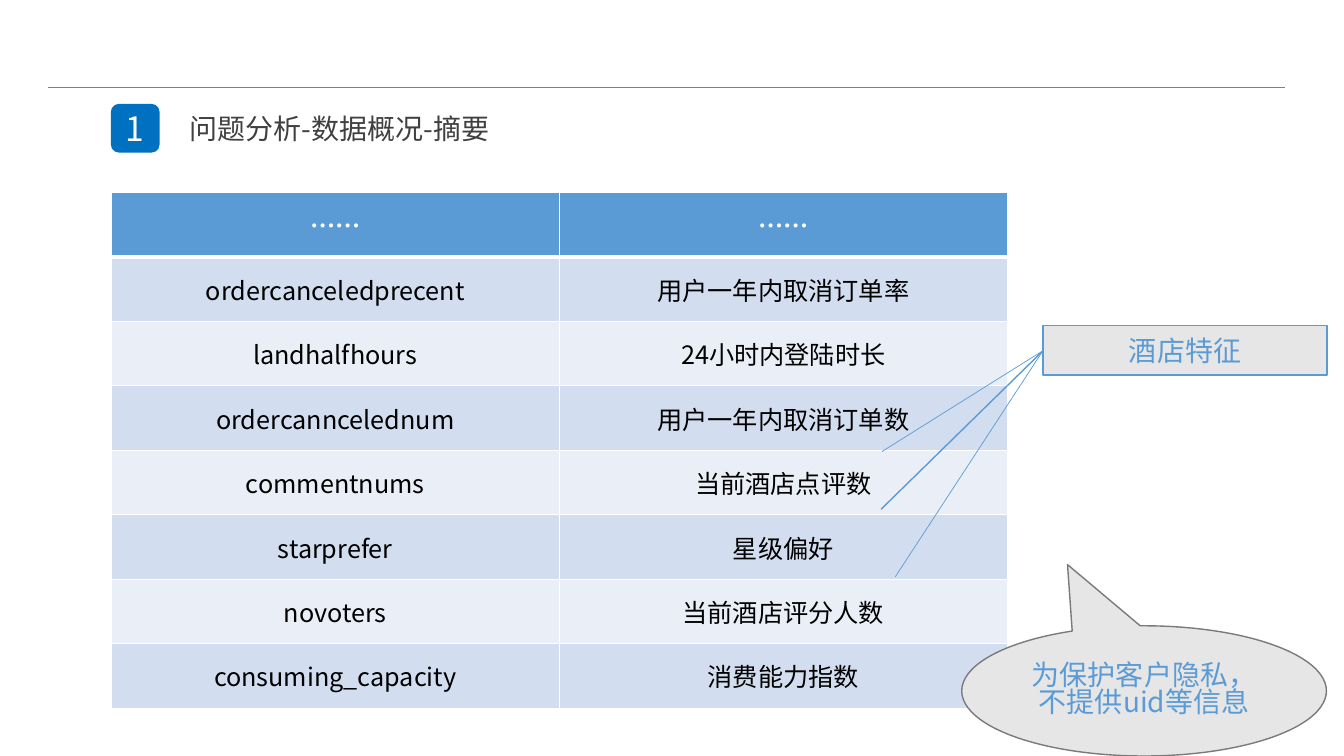
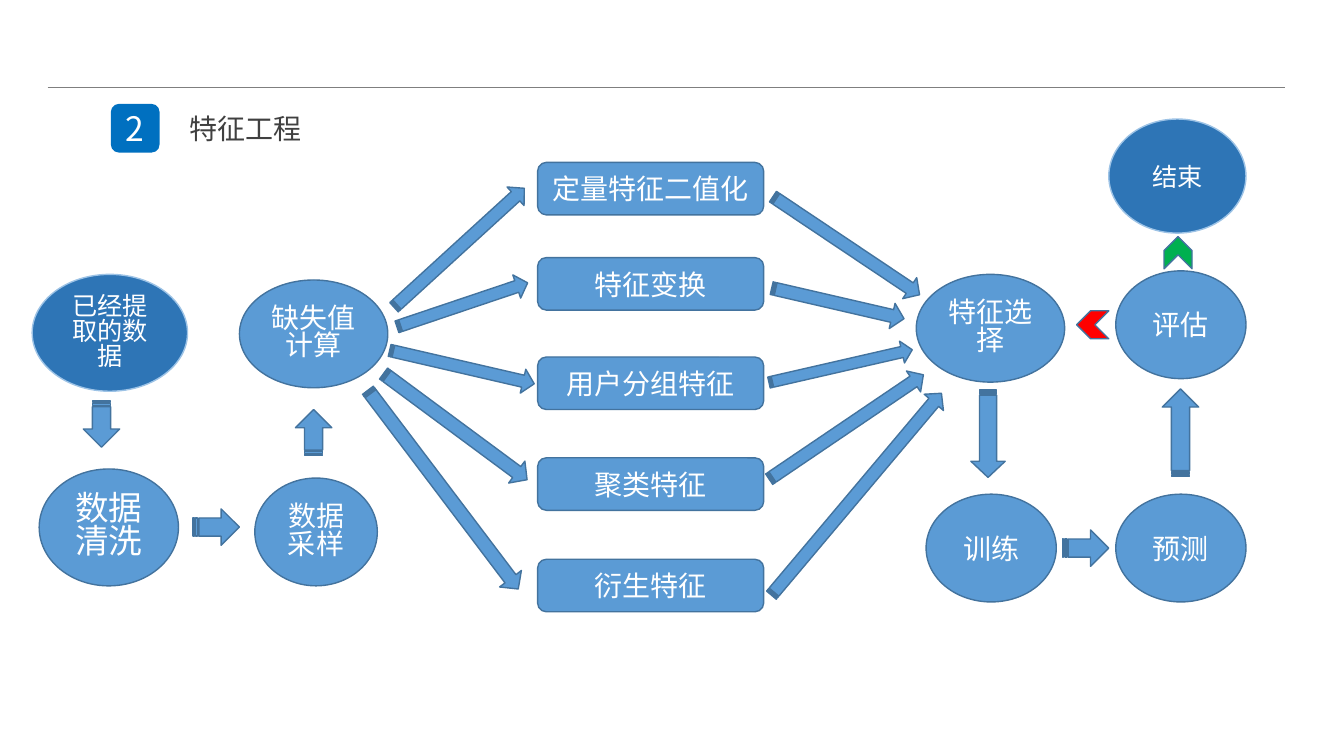
from dataclasses import dataclass
from typing import Any, Optional

from lxml import etree
from pptx import Presentation
from pptx import util as u
from pptx.dml import color
from pptx.enum import shapes, text
from pptx.oxml import ns

COLORS = {
    "white": "FFFFFF", "black": "000000", "title": "404040", "rule": "7F7F7F",
    "badge": "0070C0", "blue": "5B9BD5", "edge": "43739E",
    "deep": "2E75B6", "pale_edge": "9DC3E6", "gray": "E7E6E6", "gray_edge": "7A7A7A",
    "band_dark": "D2DEEF", "band_light": "EAEFF7", "red": "FF0000", "green": "00B050",
}
FONT = "Noto Sans CJK SC"
KIND = shapes.MSO_SHAPE
CENTER = text.PP_ALIGN.CENTER
MIDDLE = text.MSO_ANCHOR.MIDDLE
WRAPPED_SPACING = 0.82


@dataclass(frozen=True)
class Part:
    """One preset shape, with lengths in points."""
    kind: Any
    left: float
    top: float
    width: float
    height: float
    label: str = ""
    size: float = 20
    fill: str = "blue"
    line: Optional[str] = "edge"
    ink: str = "white"
    rotation: float = 0
    spacing: Optional[float] = None
    adjustments: tuple[float, ...] = ()


# Shared drawing functions
def rgb(name: str) -> color.RGBColor:
    return color.RGBColor.from_string(COLORS[name])


def write(frame: Any, words: str, size: float, ink: str, align: Any = CENTER,
          bold: bool = False, spacing: Optional[float] = None) -> None:
    para = frame.paragraphs[0]
    para.alignment = align
    if spacing:
        para.line_spacing = spacing
    span = para.add_run()
    span.text = words
    for name, value in {"size": u.Pt(size), "bold": bold, "name": FONT}.items():
        setattr(span.font, name, value)
    span.font.color.rgb = rgb(ink)
    east_asian = etree.SubElement(span.font._element, ns.qn("a:ea"))
    east_asian.set("typeface", FONT)


def draw_part(page: Any, part: Part) -> None:
    box = page.shapes.add_shape(part.kind, u.Pt(part.left), u.Pt(part.top),
                                u.Pt(part.width), u.Pt(part.height))
    box.shadow.inherit = False
    box.rotation = part.rotation
    for index, value in enumerate(part.adjustments):
        box.adjustments[index] = value
    box.fill.solid()
    box.fill.fore_color.rgb = rgb(part.fill)
    if part.line:
        box.line.color.rgb = rgb(part.line)
        box.line.width = u.Pt(1)
    else:
        box.line.fill.background()
    if part.label:
        frame = box.text_frame
        for name, value in {"word_wrap": True, "vertical_anchor": MIDDLE}.items():
            setattr(frame, name, value)
        write(frame, part.label, part.size, part.ink, spacing=part.spacing)


def draw_line(page: Any, start: tuple[float, float], end: tuple[float, float],
              ink: str) -> None:
    line = page.shapes.add_connector(shapes.MSO_CONNECTOR.STRAIGHT,
                                     *(u.Pt(value) for value in start + end))
    line.line.color.rgb = rgb(ink)
    line.line.width = u.Pt(0.5)
    etree.SubElement(line._element.spPr, ns.qn("a:effectLst"))


def add_page(deck: Any, number: str, heading: str, heading_width: float) -> Any:
    page = deck.slides.add_slide(deck.slide_layouts[5])
    draw_line(page, (34, 62.5), (918, 62.5), "rule")
    draw_part(page, Part(KIND.ROUNDED_RECTANGLE, 79.2, 74.2, 34.8, 34.8, number, 24,
                         "badge", None))
    title = page.shapes.title
    place = {"left": 128, "top": 72, "width": heading_width, "height": 39}
    for name, value in place.items():
        setattr(title, name, u.Pt(value))
    frame = title.text_frame
    formats = {"word_wrap": True, "vertical_anchor": MIDDLE,
               "auto_size": text.MSO_AUTO_SIZE.NONE}
    for name, value in formats.items():
        setattr(frame, name, value)
    write(frame, heading, 20, "title", text.PP_ALIGN.LEFT)
    return page


# Table of data fields
FIELDS = [
    ("……", "……"),
    ("ordercanceledprecent", "用户一年内取消订单率"),
    ("landhalfhours", "24小时内登陆时长"),
    ("ordercanncelednum", "用户一年内取消订单数"),
    ("commentnums", "当前酒店点评数"),
    ("starprefer", "星级偏好"),
    ("novoters", "当前酒店评分人数"),
    ("consuming_capacity", "消费能力指数"),
]


def set_borders(cell: Any, widths: dict[str, float]) -> None:
    properties = cell._tc.get_or_add_tcPr()
    for side, width in widths.items():
        border = etree.SubElement(properties, ns.qn(f"a:ln{side}"), w=str(u.Pt(width)))
        fill = etree.SubElement(border, ns.qn("a:solidFill"))
        etree.SubElement(fill, ns.qn("a:srgbClr"), val=COLORS["white"])


def draw_fields(page: Any) -> None:
    row_height, column_width = 46, 320
    table = page.shapes.add_table(
        len(FIELDS), 2, u.Pt(79.5), u.Pt(137.5),
        u.Pt(2 * column_width), u.Pt(len(FIELDS) * row_height)).table
    for row_index, words in enumerate(FIELDS):
        header = row_index == 0
        band = "blue" if header else ("band_dark" if row_index % 2 else "band_light")
        for column_index, label in enumerate(words):
            cell = table.cell(row_index, column_index)
            set_borders(cell, {"L": 1, "R": 1, "T": 3 if row_index == 1 else 1,
                               "B": 3 if header else 1})
            formats = {"margin_left": u.Pt(25), "margin_right": u.Pt(25),
                       "margin_top": u.Pt(10), "margin_bottom": u.Pt(10),
                       "vertical_anchor": MIDDLE}
            for name, value in formats.items():
                setattr(cell, name, value)
            cell.fill.solid()
            cell.fill.fore_color.rgb = rgb(band)
            write(cell.text_frame, label, 18, "white" if header else "black", bold=header)


# Callouts beside the table
HOTEL_CORNER = (745, 250.5)
HOTEL_TARGETS = [(639.5, 412), (630, 322.5)]
CALLOUTS = [
    Part(KIND.LINE_CALLOUT_1, 745, 232.5, 203, 35.5, "酒店特征", fill="gray",
         line="blue", ink="blue", adjustments=(0.51, 0, 3.7, -0.57)),
    Part(KIND.OVAL_CALLOUT, 687, 447, 260.5, 93, "为保护客户隐私，不提供uid等信息",
         fill="gray", line="gray_edge", ink="blue", spacing=WRAPPED_SPACING,
         adjustments=(-0.21, -0.97)),
]


# Flow of feature engineering
def oval(left: float, top: float, width: float, height: float, label: str,
         size: float = 20, wrapped: bool = False, terminal: bool = False) -> Part:
    fill, line = ("deep", "pale_edge") if terminal else ("blue", "edge")
    return Part(KIND.OVAL, left, top, width, height, label, size, fill, line,
                spacing=WRAPPED_SPACING if wrapped else None)


def arrow(left: float, top: float, width: float, height: float,
          rotation: float, head: float = 0.47) -> Part:
    return Part(KIND.STRIPED_RIGHT_ARROW, left, top, width, height,
                rotation=rotation, adjustments=(0.5, head))


STEPS = [
    oval(23, 196, 111, 83.5, "已经提取的数据", 18, wrapped=True, terminal=True),
    oval(28, 335, 99.5, 83.5, "数据清洗", 24, wrapped=True),
    oval(182, 341.5, 87.5, 77, "数据采样", wrapped=True),
    oval(171, 200, 106, 77, "缺失值计算", wrapped=True),
    oval(654.5, 196, 106, 77, "特征选择", wrapped=True),
    oval(661.5, 353, 93, 77, "训练"),
    oval(797, 353, 93, 77, "预测"),
    oval(797, 193.5, 93, 77, "评估"),
    oval(792, 85, 98, 81.5, "结束", 18, terminal=True),
]
FEATURES = {
    "定量特征二值化": 116, "特征变换": 184, "用户分组特征": 255,
    "聚类特征": 327, "衍生特征": 399.5,
}
STEP_ARROWS = [
    arrow(56, 290, 33, 26, 90, 0.5),
    arrow(138, 363.5, 33, 26, 0, 0.5),
    arrow(207.5, 296, 33, 26, 270, 0.5),
    arrow(759, 378.5, 33, 26, 0, 0.5),
    arrow(812, 296, 62.5, 26, 270, 0.5),
    arrow(674.5, 297.5, 62.5, 24.5, 90),
]
FAN_OUT = [
    arrow(265, 168, 126, 18, 317.6),
    arrow(281, 209, 98.5, 17.5, 341.4),
    arrow(277, 253.5, 106, 17.5, 13),
    arrow(261.5, 295, 127.5, 19.5, 36.5),
    arrow(227.5, 340, 178, 19.5, 52.9),
]
FAN_IN = [
    arrow(541.5, 166.5, 126, 18, 33.8),
    arrow(550, 207.5, 97, 18.5, 13),
    arrow(548, 253.5, 105, 16, 347.1),
    arrow(538, 296, 133, 18, 325.9),
    arrow(517.5, 344, 188.5, 18, 310.1),
]
VERDICTS = [
    Part(KIND.CHEVRON, 769, 222, 23, 20, fill="red", rotation=180),
    Part(KIND.CHEVRON, 830, 170.5, 23, 20, fill="green", rotation=270),
]


def main() -> None:
    deck = Presentation()
    deck.slide_width, deck.slide_height = u.Pt(960), u.Pt(540)

    # Data summary
    page = add_page(deck, "1", "问题分析-数据概况-摘要", 268)
    draw_fields(page)
    for target in HOTEL_TARGETS:
        draw_line(page, HOTEL_CORNER, target, "blue")
    for callout in CALLOUTS:
        draw_part(page, callout)

    # Feature engineering
    page = add_page(deck, "2", "特征工程", 144)
    features = [Part(KIND.ROUNDED_RECTANGLE, 384, top, 161.5, 37.5, label)
                for label, top in FEATURES.items()]
    for part in STEPS + features + STEP_ARROWS + FAN_OUT + FAN_IN + VERDICTS:
        draw_part(page, part)

    deck.save("out.pptx")


if __name__ == "__main__":
    main()
